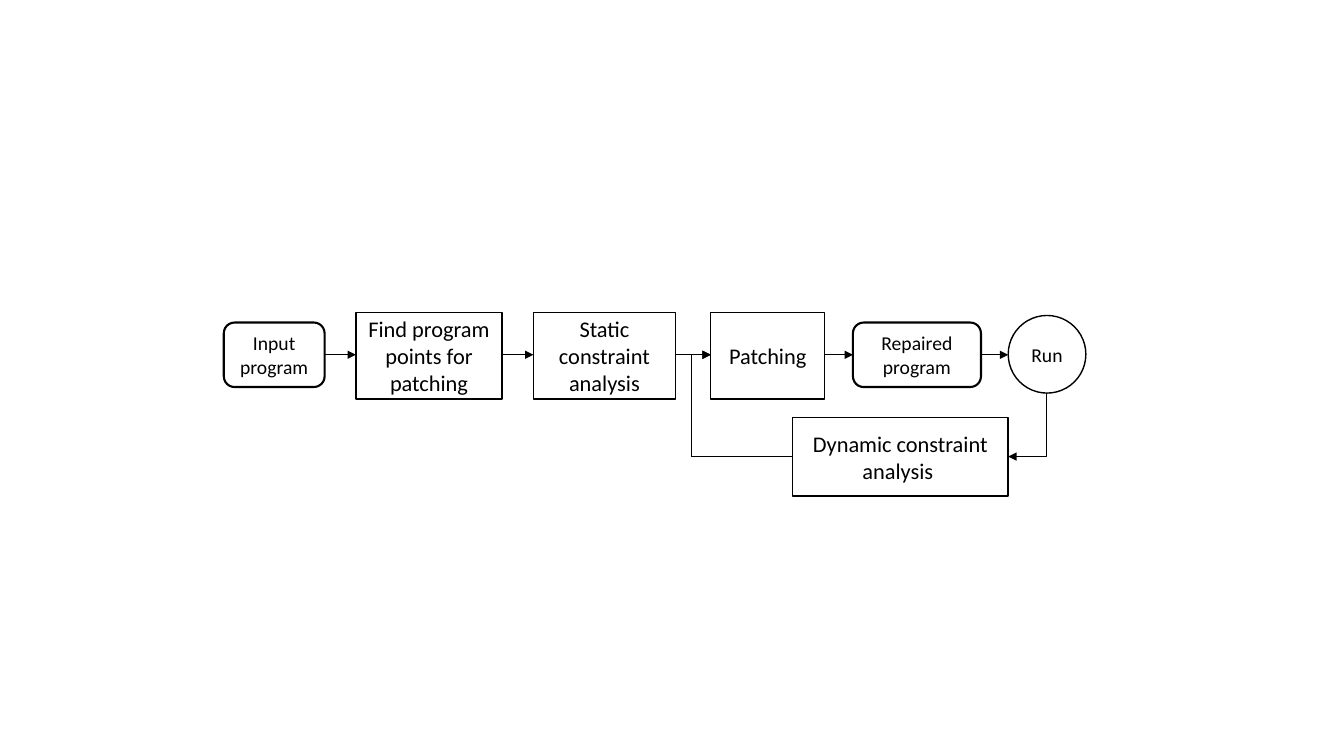
from pptx import Presentation
from pptx.dml.color import RGBColor
from pptx.enum.shapes import MSO_CONNECTOR, MSO_SHAPE
from pptx.enum.text import MSO_ANCHOR, PP_ALIGN
from pptx.oxml.ns import qn
from pptx.util import Inches, Pt
from lxml import etree

RECTANGLE = MSO_SHAPE.RECTANGLE
ROUNDED = MSO_SHAPE.ROUNDED_RECTANGLE
OVAL = MSO_SHAPE.OVAL
STRAIGHT = MSO_CONNECTOR.STRAIGHT
ELBOW = MSO_CONNECTOR.ELBOW
CENTER = PP_ALIGN.CENTER
MIDDLE = MSO_ANCHOR.MIDDLE

BLACK, WHITE = "000000", "FFFFFF"
FLOW_Y = 3.52      # axis of the main flow
FEEDBACK_Y = 4.53  # axis of the feedback loop
MERGE_X = 6.86     # where feedback rejoins the main flow

# Label, kind, left, top, width, height, font size, line width
STEPS = [
    ("Input program", ROUNDED, 2.22, 3.2, 1, 0.64, 14, 1.5),
    ("Find program points for patching", RECTANGLE, 3.53, 3.1, 1.45, 0.86, 16, 1),
    ("Static constraint analysis", RECTANGLE, 5.29, 3.1, 1.41, 0.86, 16, 1),
    ("Patching", RECTANGLE, 7.05, 3.1, 1.13, 0.86, 16, 1),
    ("Repaired program", ROUNDED, 8.46, 3.2, 1.27, 0.64, 14, 1.5),
    ("Run", OVAL, 10, 3.13, 0.77, 0.77, 14, 1),
]
DYNAMIC_ANALYSIS = ("Dynamic constraint analysis ", RECTANGLE,
                    7.86, 4.14, 2.14, 0.78, 16, 1)


def color(value):
    return RGBColor.from_string(value)


def write_text(shape, text, size=16, font="Calibri", text_color=BLACK):
    frame = shape.text_frame
    frame.word_wrap = True
    frame.vertical_anchor = MIDDLE
    paragraph = frame.paragraphs[0]
    paragraph.alignment = CENTER
    run = paragraph.add_run()
    run.text = text
    run.font.name = font
    run.font.size = Pt(size)
    run.font.color.rgb = color(text_color)


def add_step(slide, label, kind, left, top, width, height, size, line_width):
    shape = slide.shapes.add_shape(
        kind, Inches(left), Inches(top), Inches(width), Inches(height))
    shape.shadow.inherit = False
    shape.fill.solid()
    shape.fill.fore_color.rgb = color(WHITE)
    shape.line.color.rgb = color(BLACK)
    shape.line.width = Pt(line_width)
    write_text(shape, label, size=size)
    return shape


def add_line(slide, start, end, width=1.0, arrow=True, kind=STRAIGHT):
    connector = slide.shapes.add_connector(
        kind, *(Inches(value) for value in (*start, *end)))
    connector.line.color.rgb = color(BLACK)
    connector.line.width = Pt(width)
    if arrow:
        line = connector.line._get_or_add_ln()
        etree.SubElement(line, qn("a:tailEnd"), type="triangle")
    etree.SubElement(connector._element.spPr, qn("a:effectLst"))
    return connector


def add_corner_arrow(slide, start, end, width):
    """Draw an arrow that runs vertically first, then horizontally."""
    (start_x, start_y), (end_x, end_y) = start, end
    center_x, center_y = (start_x + end_x) / 2, (start_y + end_y) / 2
    # The frame lies on its side: its width is the vertical distance
    half_width, half_height = abs(end_y - start_y) / 2, abs(end_x - start_x) / 2
    connector = add_line(
        slide, (center_x - half_width, center_y - half_height),
        (center_x + half_width, center_y + half_height), width, kind=ELBOW)
    properties = connector._element.spPr
    properties.find(qn("a:prstGeom")).set("prst", "bentConnector2")
    angle = 90 if end_y > start_y else 270
    properties.find(qn("a:xfrm")).set("rot", str(angle * 60000))


def main():
    presentation = Presentation()
    presentation.slide_width = Inches(13.33)
    presentation.slide_height = Inches(7.5)
    slide = presentation.slides.add_slide(presentation.slide_layouts[6])

    # Steps
    for step in STEPS:
        add_step(slide, *step)
    add_step(slide, *DYNAMIC_ANALYSIS)

    # Main flow: each step points to the next
    for source, target in zip(STEPS, STEPS[1:]):
        right_edge = source[2] + source[4]
        add_line(slide, (right_edge, FLOW_Y), (target[2], FLOW_Y))

    # Feedback loop: run, dynamic analysis, back to patching
    add_corner_arrow(slide, (10.38, 3.9), (10, FEEDBACK_Y), 0.5)
    add_line(slide, (MERGE_X, FEEDBACK_Y), (7.86, FEEDBACK_Y), 0.5, arrow=False)
    add_corner_arrow(slide, (MERGE_X, FEEDBACK_Y), (7.05, FLOW_Y), 0.75)

    presentation.save("out.pptx")


main()
